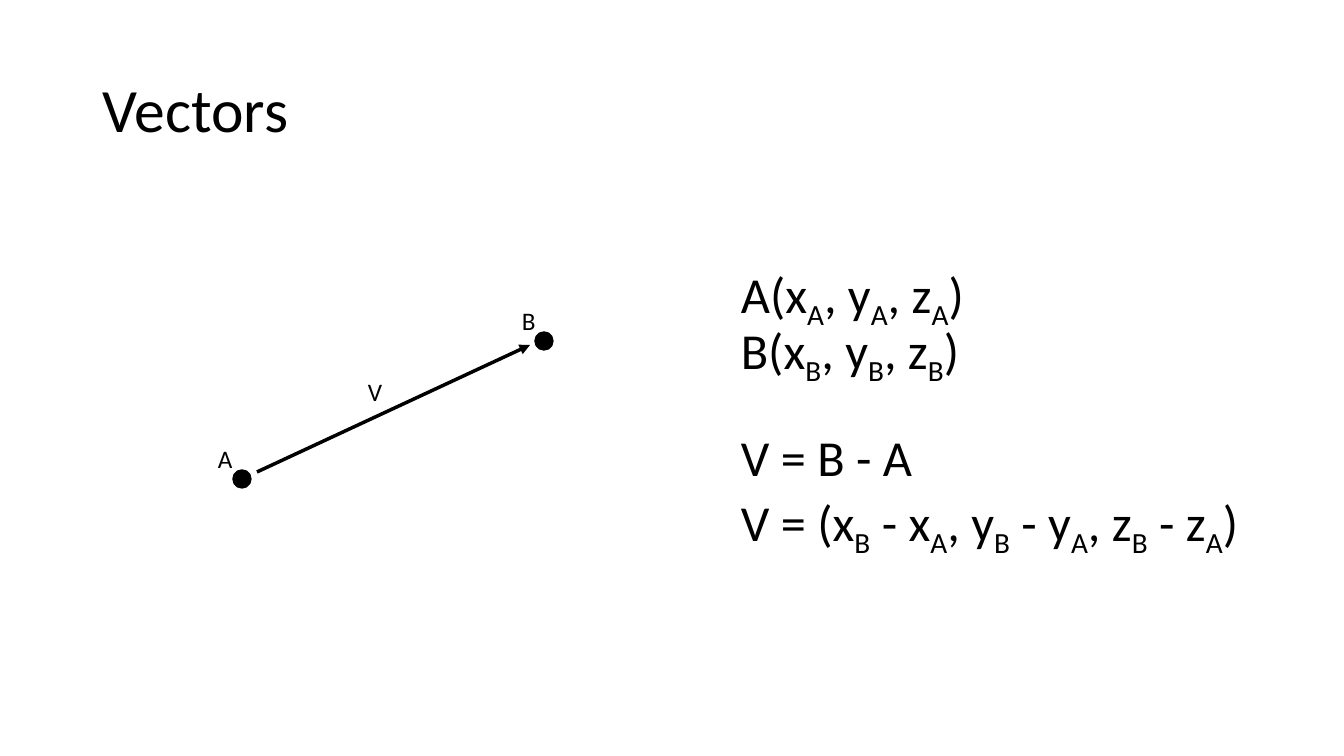
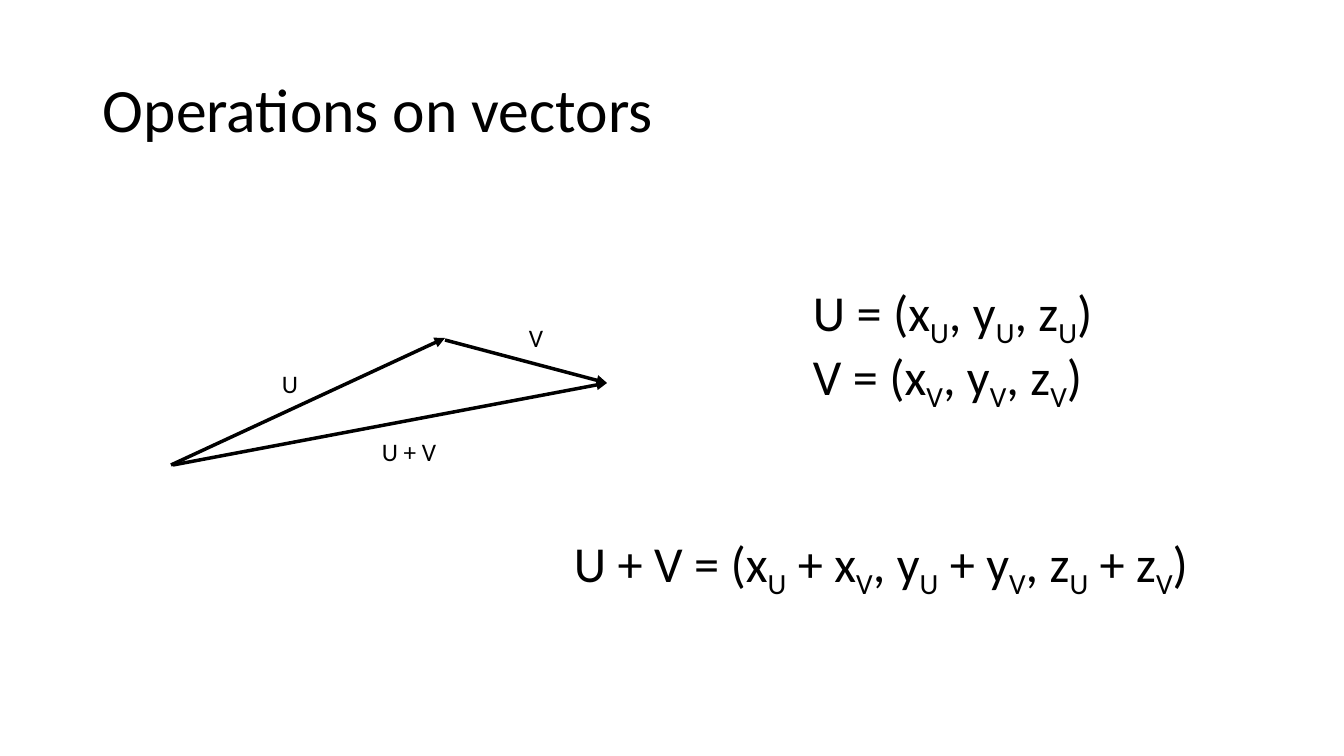
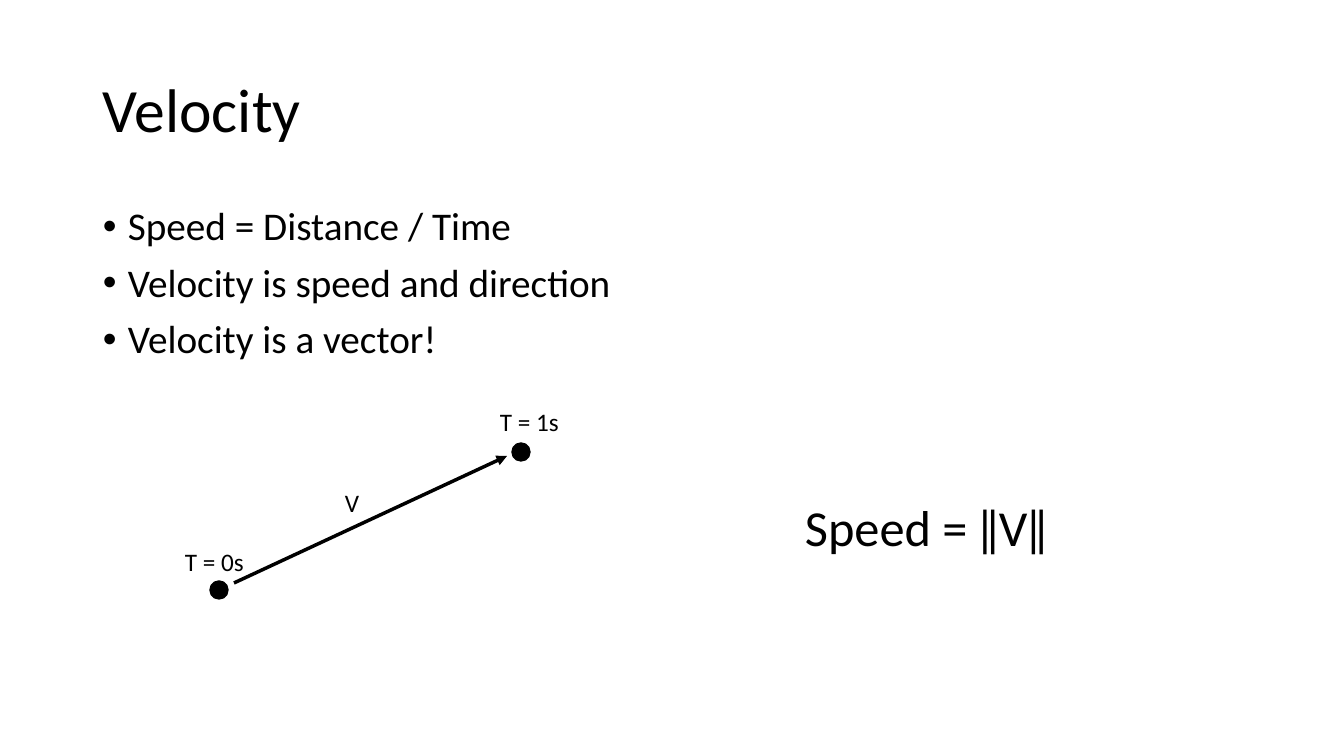
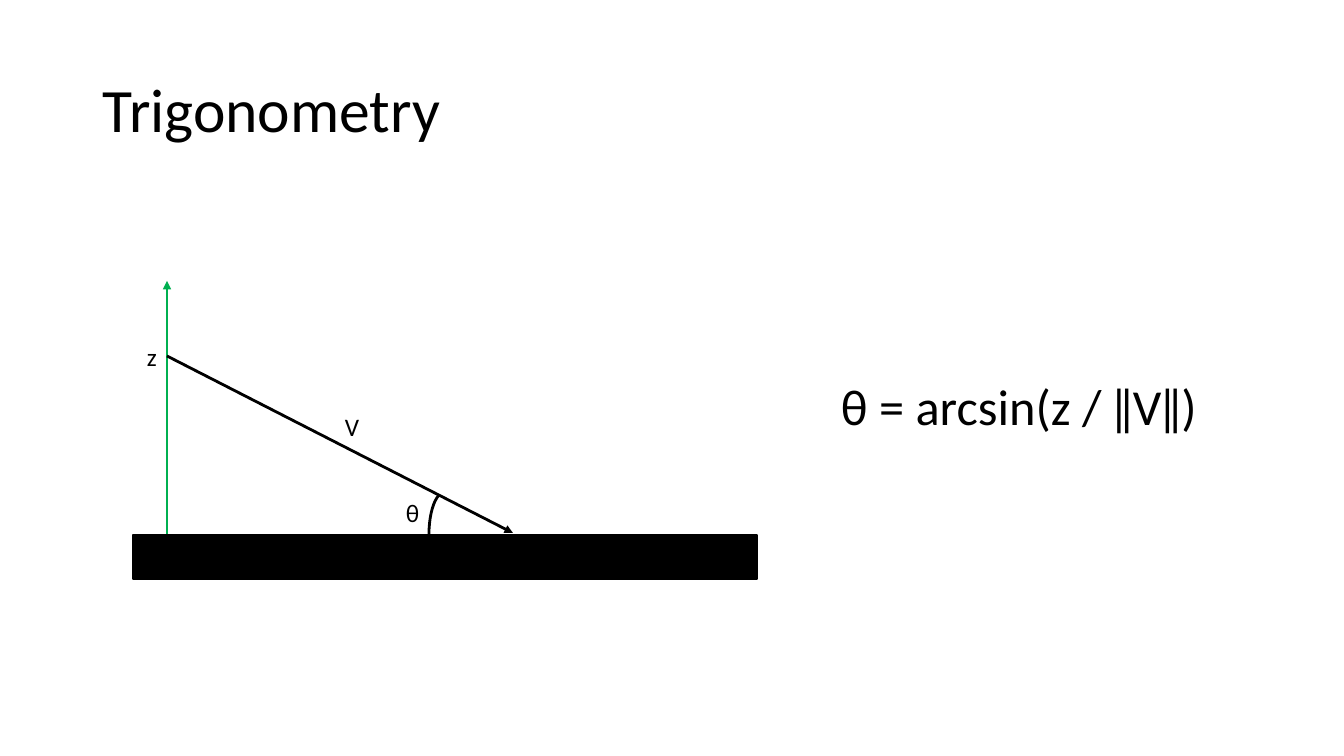
from lxml.etree import SubElement
from pptx import Presentation
from pptx.dml.color import RGBColor
from pptx.enum.shapes import MSO_CONNECTOR, MSO_SHAPE
from pptx.enum.text import MSO_ANCHOR
from pptx.oxml.ns import qn
from pptx.util import Pt

PX = 12192000 / 1344
BLACK = "000000"
GREEN = "00B050"
FONT = "Calibri"
TITLE = dict(size=44, anchor=MSO_ANCHOR.MIDDLE, spacing=0.9)
LABEL = dict(size=18, wrap=False)
FORMULA = dict(size=36)


def add_text(s, text, x, y, w, h, size=18, wrap=True, anchor=MSO_ANCHOR.TOP,
             spacing=1.0, before=0, bullet=None, indent=25):
    sp = s.shapes.add_textbox(*[round(v * PX) for v in (x, y, w, h)])
    tf = sp.text_frame
    tf.word_wrap = wrap
    tf.vertical_anchor = anchor
    for i, line in enumerate(text.split("\n")):
        p = tf.add_paragraph() if i else tf.paragraphs[0]
        p.line_spacing = spacing
        p.space_before = Pt(before)
        if bullet:
            pPr = p._p.get_or_add_pPr()
            pPr.set("marL", str(round(indent * PX)))
            pPr.set("indent", str(-round(indent * PX)))
            SubElement(pPr, qn("a:buFont")).set("typeface", "Arial")
            SubElement(pPr, qn("a:buChar")).set("char", bullet)
        first, *rest = line.split("_")
        pieces = [(first, False)]
        for part in rest:
            pieces += [(part[0], True), (part[1:], False)]
        for piece, subscript in pieces:
            r = p.add_run()
            r.text = piece
            r.font.name = FONT
            r.font.size = Pt(size)
            r.font.color.rgb = RGBColor.from_string(BLACK)
            if subscript:
                r._r.get_or_add_rPr().set("baseline", "-25000")


def add_arrow(s, x1, y1, x2, y2, width=2.5, color=BLACK):
    ends = [round(v * PX) for v in (x1, y1, x2, y2)]
    cn = s.shapes.add_connector(MSO_CONNECTOR.STRAIGHT, *ends)
    cn.line.width = Pt(width)
    cn.line.color.rgb = RGBColor.from_string(color)
    SubElement(cn.line._get_or_add_ln(), qn("a:tailEnd")).set("type", "triangle")
    SubElement(cn._element.spPr, qn("a:effectLst"))


prs = Presentation()
prs.slide_width = round(1344 * PX)
prs.slide_height = round(756 * PX)

slides = []
for title in ("Vectors", "Operations on vectors", "Velocity", "Trigonometry"):
    s = prs.slides.add_slide(prs.slide_layouts[6])
    add_text(s, title, 93, 40, 1159, 146, **TITLE)
    slides.append(s)
vectors, operations, velocity, trigonometry = slides

for s, dx, dy in ((vectors, 0, 0), (velocity, -23, 111)):
    add_arrow(s, 257 + dx, 472 + dy, 530 + dx, 345 + dy)
    for x, y in ((233, 470), (535, 332)):
        box = [round(v * PX) for v in (x + dx, y + dy, 18, 18)]
        dot = s.shapes.add_shape(MSO_SHAPE.OVAL, *box)
        dot.shadow.inherit = False
        dot.fill.solid()
        dot.fill.fore_color.rgb = RGBColor.from_string(BLACK)
        dot.line.color.rgb = RGBColor.from_string(BLACK)
        dot.line.width = Pt(1)
    add_text(s, "V", 358 + dx, 371 + dy, 35, 40, **LABEL)

for text, x, y, w in (("B", 512, 300, 34), ("A", 208, 438, 35)):
    add_text(vectors, text, x, y, w, 40, **LABEL)
for text, y in (("A(x_A, y_A, z_A)", 258), ("B(x_B, y_B, z_B)", 314),
                ("V = B - A", 421),
                ("V = (x_B - x_A, y_B - y_A, z_B - z_A)", 486)):
    add_text(vectors, text, 731, y, 546, 72, **FORMULA)

for ends in ((171, 465, 445, 338), (445, 340, 607, 383), (173, 465, 607, 383)):
    add_arrow(operations, *ends)
for text, x, y, w in (("U", 272, 363, 36), ("V", 519, 317, 35),
                      ("U + V", 372, 431, 76)):
    add_text(operations, text, x, y, w, 40, **LABEL)
for text, x, y, w in (
        ("U = (x_U, y_U, z_U)", 803, 276, 317),
        ("V = (x_V, y_V, z_V)", 803, 340, 317),
        ("U + V = (x_U + x_V, y_U + y_V, z_U + z_V)", 564, 527, 687)):
    add_text(operations, text, x, y, w, 72, **FORMULA)

add_text(velocity, "Speed = Distance / Time\nVelocity is speed and direction\n"
         "Velocity is a vector!", 93, 202, 1159, 480,
         size=28, spacing=0.9, before=10, bullet="•")
for text, x, y in (("T = 1s", 490, 401), ("T = 0s", 175, 541)):
    add_text(velocity, text, x, y, 80, 40, **LABEL)
add_text(velocity, "Speed = ‖V‖", 795, 491, 280, 72, **FORMULA)

add_arrow(trigonometry, 167, 535, 167, 281, width=2, color=GREEN)
box = [round(v * PX) for v in (133, 535, 624, 44)]
ground = trigonometry.shapes.add_shape(MSO_SHAPE.RECTANGLE, *box)
ground.fill.solid()
ground.fill.fore_color.rgb = RGBColor.from_string(BLACK)
box = [round(v * PX) for v in (429, 492, 32, 85)]
angle = trigonometry.shapes.add_shape(MSO_SHAPE.ARC, *box)
angle.adjustments[0] = 108
angle.adjustments[1] = 157.25
angle.fill.background()
for sp, width in ((ground, 1), (angle, 2)):
    sp.shadow.inherit = False
    sp.line.color.rgb = RGBColor.from_string(BLACK)
    sp.line.width = Pt(width)
add_arrow(trigonometry, 167, 356, 513, 533, width=2)
for text, x, y, w in (("θ", 396, 492, 34), ("V", 335, 406, 35),
                      ("z", 137, 336, 30)):
    add_text(trigonometry, text, x, y, w, 40, **LABEL)
add_text(trigonometry, "θ = arcsin(z / ‖V‖)", 831, 370, 400, 72, **FORMULA)

prs.save("out.pptx")
